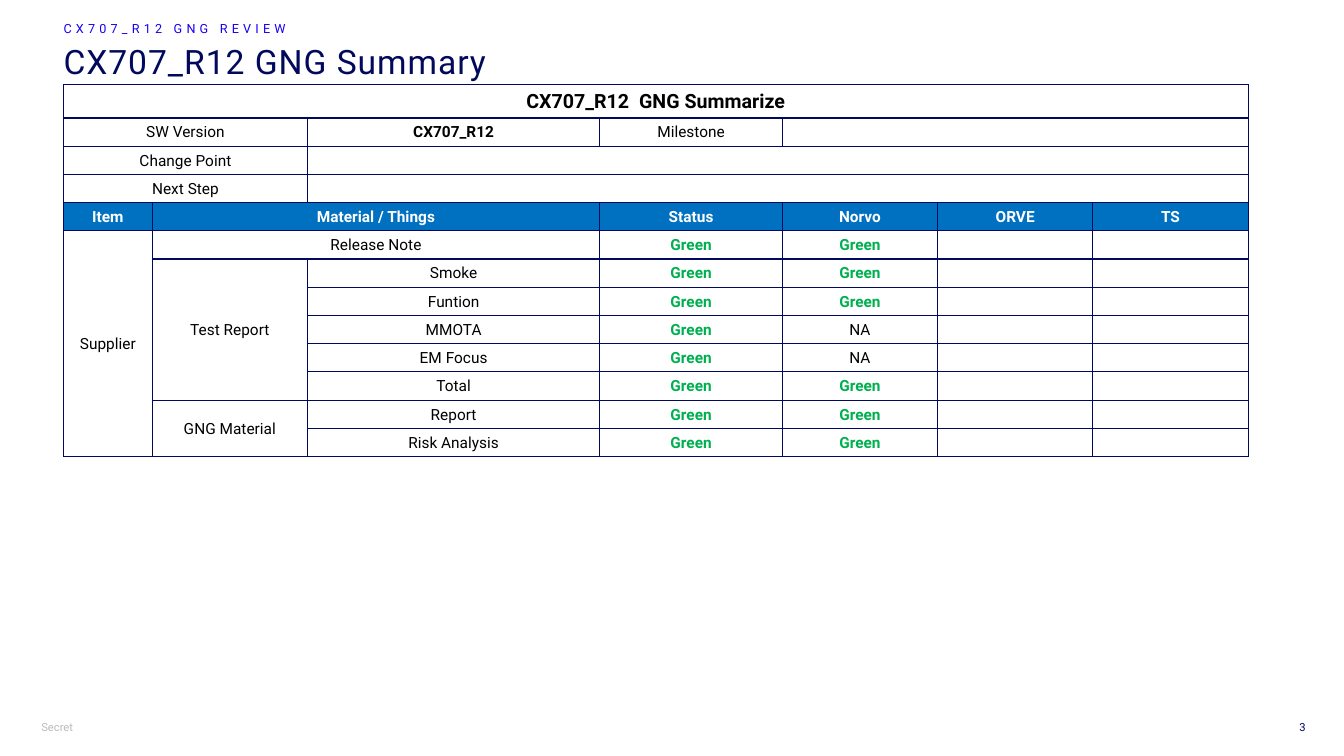
from dataclasses import dataclass

from lxml.etree import SubElement
from pptx import Presentation
from pptx.dml.color import RGBColor
from pptx.enum.text import MSO_ANCHOR, MSO_AUTO_SIZE, PP_ALIGN
from pptx.oxml.ns import qn
from pptx.util import Inches, Pt


@dataclass(frozen=True)
class Theme:
    font: str = "Roboto"
    navy: str = "00095B"
    violet: str = "1700F3"
    gray: str = "B9BCBD"
    black: str = "000000"
    white: str = "FFFFFF"
    header: str = "0070C0"
    green: str = "00B050"
    title: int = 24
    kicker: int = 9
    footer: int = 8
    table_title: int = 14
    cell: int = 11


THEME = Theme()

COLUMNS = [0.88, 1.54, 2.9, 1.81, 1.54, 1.54, 1.54]
TITLE_HEIGHT, ROW_HEIGHT = 0.33, 0.28
HEADER_ROW = 4
ROWS = [
    ["CX707_R12  GNG Summarize"],
    ["SW Version", "", "CX707_R12", "Milestone"],
    ["Change Point"],
    ["Next Step"],
    ["Item", "Material / Things", "", "Status", "Norvo", "ORVE", "TS"],
    ["Supplier", "Release Note", "", "Green", "Green"],
    ["", "Test Report", "Smoke", "Green", "Green"],
    ["", "", "Funtion", "Green", "Green"],
    ["", "", "MMOTA", "Green", "NA"],
    ["", "", "EM Focus", "Green", "NA"],
    ["", "", "Total", "Green", "Green"],
    ["", "GNG Material", "Report", "Green", "Green"],
    ["", "", "Risk Analysis", "Green", "Green"],
]
# First row, first column, last row, last column
MERGES = [
    (0, 0, 0, 6), (1, 0, 1, 1), (1, 4, 1, 6), (2, 0, 2, 1), (2, 2, 2, 6),
    (3, 0, 3, 1), (3, 2, 3, 6), (4, 1, 4, 2), (5, 0, 12, 0), (5, 1, 5, 2),
    (6, 1, 10, 1), (11, 1, 12, 1),
]


def add_run(p, text, size, color, bold=False, spacing=0):
    r = p.add_run()
    r.text = text
    r.font.name = THEME.font
    r.font.size = Pt(size)
    r.font.bold = bold
    r.font.color.rgb = RGBColor.from_string(color)
    if spacing:
        r.font._element.set("spc", str(round(spacing * 100)))


def place(sp, left, top, width, height):
    """Position a text shape and return its first paragraph."""
    sp.left, sp.top = Inches(left), Inches(top)
    sp.width, sp.height = Inches(width), Inches(height)
    tf = sp.text_frame
    tf.auto_size = MSO_AUTO_SIZE.NONE
    tf.word_wrap = True
    tf.vertical_anchor = MSO_ANCHOR.TOP
    tf.margin_left = tf.margin_right = 0
    tf.margin_top = tf.margin_bottom = Inches(0.05)
    return tf.paragraphs[0]


def add_heading(s, left, top):
    p = place(s.shapes.title, left, top + 0.23, 9.33, 0.39)
    p.alignment = PP_ALIGN.LEFT
    p.line_spacing = 0.9
    add_run(p, "CX707_R12 GNG Summary", THEME.title, THEME.navy, spacing=0.7)

    p = place(s.placeholders[1], left, top, 5.95, 0.24)
    pPr = p._p.get_or_add_pPr()
    pPr.set("marL", "0")
    pPr.set("indent", "0")
    SubElement(pPr, qn("a:buNone"))
    p.alignment = PP_ALIGN.LEFT
    p.line_spacing = 0.9
    p.space_before = Pt(0)
    add_run(p, "CX707_R12 GNG REVIEW", THEME.kicker, THEME.violet, spacing=3)


def add_footer(s, left, top, width):
    number_width = 0.35
    for text, x, w, align, color in (
        ("Secret", left, 0.43, PP_ALIGN.LEFT, THEME.gray),
        ("3", left + width - number_width, number_width, PP_ALIGN.RIGHT, THEME.navy),
    ):
        p = place(s.shapes.add_textbox(0, 0, 0, 0), x, top, w, 0.24)
        p.alignment = align
        add_run(p, text, THEME.footer, color)


def add_borders(cell):
    tcPr = cell._tc.get_or_add_tcPr()
    for side in ("lnL", "lnR", "lnT", "lnB"):
        ln = SubElement(tcPr, qn(f"a:{side}"), w=str(Pt(1)))
        fill = SubElement(ln, qn("a:solidFill"))
        SubElement(fill, qn("a:srgbClr"), val=THEME.navy)


def cell_style(row, text):
    """Return size, colour and weight for a cell's text."""
    if row == 0:
        return THEME.table_title, THEME.black, True
    if row == HEADER_ROW:
        return THEME.cell, THEME.white, True
    if text == "Green":
        return THEME.cell, THEME.green, True
    return THEME.cell, THEME.black, text == "CX707_R12"


def fill_cell(cell, row, text):
    add_borders(cell)
    if row == HEADER_ROW:
        cell.fill.solid()
        cell.fill.fore_color.rgb = RGBColor.from_string(THEME.header)
    else:
        cell.fill.background()
    cell.vertical_anchor = MSO_ANCHOR.MIDDLE
    cell.margin_left = cell.margin_right = cell.margin_top = Inches(0.01)
    cell.margin_bottom = 0
    p = cell.text_frame.paragraphs[0]
    p.alignment = PP_ALIGN.CENTER
    if text:
        add_run(p, text, *cell_style(row, text))
    else:
        SubElement(p._p, qn("a:endParaRPr"), sz=str(THEME.cell * 100))


def add_summary_table(s, left, top):
    heights = [TITLE_HEIGHT] + [ROW_HEIGHT] * (len(ROWS) - 1)
    table = s.shapes.add_table(
        len(ROWS), len(COLUMNS), Inches(left), Inches(top),
        Inches(sum(COLUMNS)), Inches(sum(heights)),
    ).table
    table.first_row = table.horz_banding = False
    for column, width in zip(table.columns, COLUMNS):
        column.width = Inches(width)
    for row, height in zip(table.rows, heights):
        row.height = Inches(height)
    for i, texts in enumerate(ROWS):
        for j in range(len(COLUMNS)):
            fill_cell(table.cell(i, j), i, texts[j] if j < len(texts) else "")
    for top_row, first, bottom_row, last in MERGES:
        table.cell(top_row, first).merge(table.cell(bottom_row, last))


def main():
    prs = Presentation()
    prs.slide_width, prs.slide_height = Inches(13.33), Inches(7.5)
    s = prs.slides.add_slide(prs.slide_layouts[1])
    add_heading(s, 0.63, 0.17)
    add_footer(s, 0.41, 7.1, 12.54)
    add_summary_table(s, 0.63, 0.84)
    prs.save("out.pptx")


if __name__ == "__main__":
    main()
